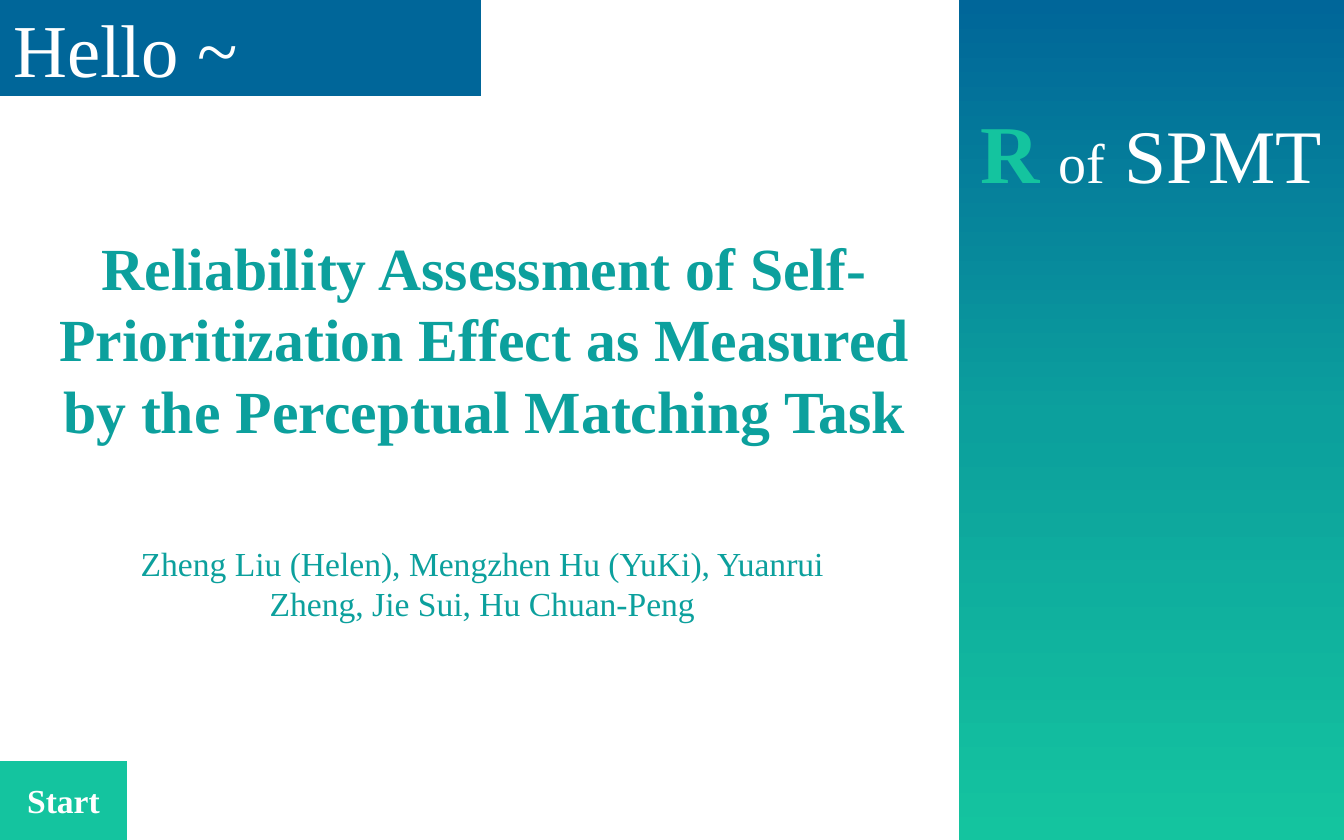
from copy import deepcopy
from dataclasses import dataclass

from pptx import Presentation
from pptx.dml.color import RGBColor
from pptx.enum.shapes import MSO_SHAPE as Shape
from pptx.enum.text import MSO_ANCHOR as Anchor, PP_ALIGN as Align
from pptx.util import Emu, Pt


@dataclass(frozen=True)
class Theme:
    font: str = "Times New Roman"
    blue: str = "006699"
    teal: str = "0CA09D"
    green: str = "14C49F"
    white: str = "FFFFFF"
    initial: float = 44
    banner: float = 40
    acronym: float = 40.5
    title: float = 32
    link: float = 30
    small: float = 18


theme = Theme()

# Content: places are left, top, width, height in px
SLIDE_SIZE = (1344, 840)
BLOCKS = [
    # place, fill, text, size, bold, alignment
    ((0, 0, 481, 96), theme.blue, "Hello ~", theme.banner, False, Align.LEFT),
    ((0, 761, 127, 79), theme.green, "Start", theme.small, True, Align.CENTER),
]
TEXTS = [
    # place, text, size, bold
    ((31, 224, 907, 231),
     "Reliability Assessment of Self-Prioritization Effect as Measured "
     "by the Perceptual Matching Task", theme.title, True),
    ((110, 536, 745, 96),
     "Zheng Liu (Helen), Mengzhen Hu (YuKi), Yuanrui Zheng, Jie Sui, "
     "Hu Chuan-Peng", theme.small, False),
]
PANEL_PLACE = (959, 0, 385, 840)
PANEL_TEXT_TOP = 101
PANEL_STOPS = [theme.blue, theme.teal, theme.green]
PANEL_RUNS = [
    # text, size, colour, bold
    ("R", theme.initial, theme.green, True),
    (" ", theme.acronym, theme.white, False),
    ("of", theme.link, theme.white, False),
    (" SPMT", theme.acronym, theme.white, False),
]


def px(value):
    return Emu(round(value * 914400 / 134.4))


def set_font(font, size, color, bold):
    font.name = theme.font
    font.size = Pt(size)
    font.bold = bold
    font.color.rgb = RGBColor.from_string(color)


def write(shape, text, size, color, bold, align):
    shape.text_frame.word_wrap = True
    paragraph = shape.text_frame.paragraphs[0]
    paragraph.text = text
    paragraph.alignment = align
    set_font(paragraph.font, size, color, bold)


def add_rectangle(slide, place):
    shape = slide.shapes.add_shape(Shape.RECTANGLE, *map(px, place))
    shape.shadow.inherit = False
    shape.line.fill.background()
    return shape


def fill_downward(fill, colors):
    fill.gradient()
    fill.gradient_angle = 270
    # A new gradient has two stops; the list may hold more
    stop_list = fill._fill._gradFill.gsLst
    while len(stop_list) < len(colors):
        stop_list.append(deepcopy(stop_list[-1]))
    for index, (stop, color) in enumerate(zip(fill.gradient_stops, colors)):
        stop.position = index / (len(colors) - 1)
        stop.color.rgb = RGBColor.from_string(color)


presentation = Presentation()
presentation.slide_width, presentation.slide_height = map(px, SLIDE_SIZE)
slide = presentation.slides.add_slide(presentation.slide_layouts[6])

# Banner and start button
for place, fill, text, size, bold, align in BLOCKS:
    block = add_rectangle(slide, place)
    block.fill.solid()
    block.fill.fore_color.rgb = RGBColor.from_string(fill)
    block.text_frame.vertical_anchor = Anchor.MIDDLE
    write(block, text, size, theme.white, bold, align)

# Title and authors
for place, text, size, bold in TEXTS:
    box = slide.shapes.add_textbox(*map(px, place))
    write(box, text, size, theme.teal, bold, Align.CENTER)

# Side panel
panel = add_rectangle(slide, PANEL_PLACE)
fill_downward(panel.fill, PANEL_STOPS)
frame = panel.text_frame
frame.word_wrap = True
frame.vertical_anchor = Anchor.TOP
frame.margin_top = px(PANEL_TEXT_TOP)
heading = frame.paragraphs[0]
heading.alignment = Align.CENTER
for text, size, color, bold in PANEL_RUNS:
    run = heading.add_run()
    run.text = text
    set_font(run.font, size, color, bold)

presentation.save("out.pptx")
